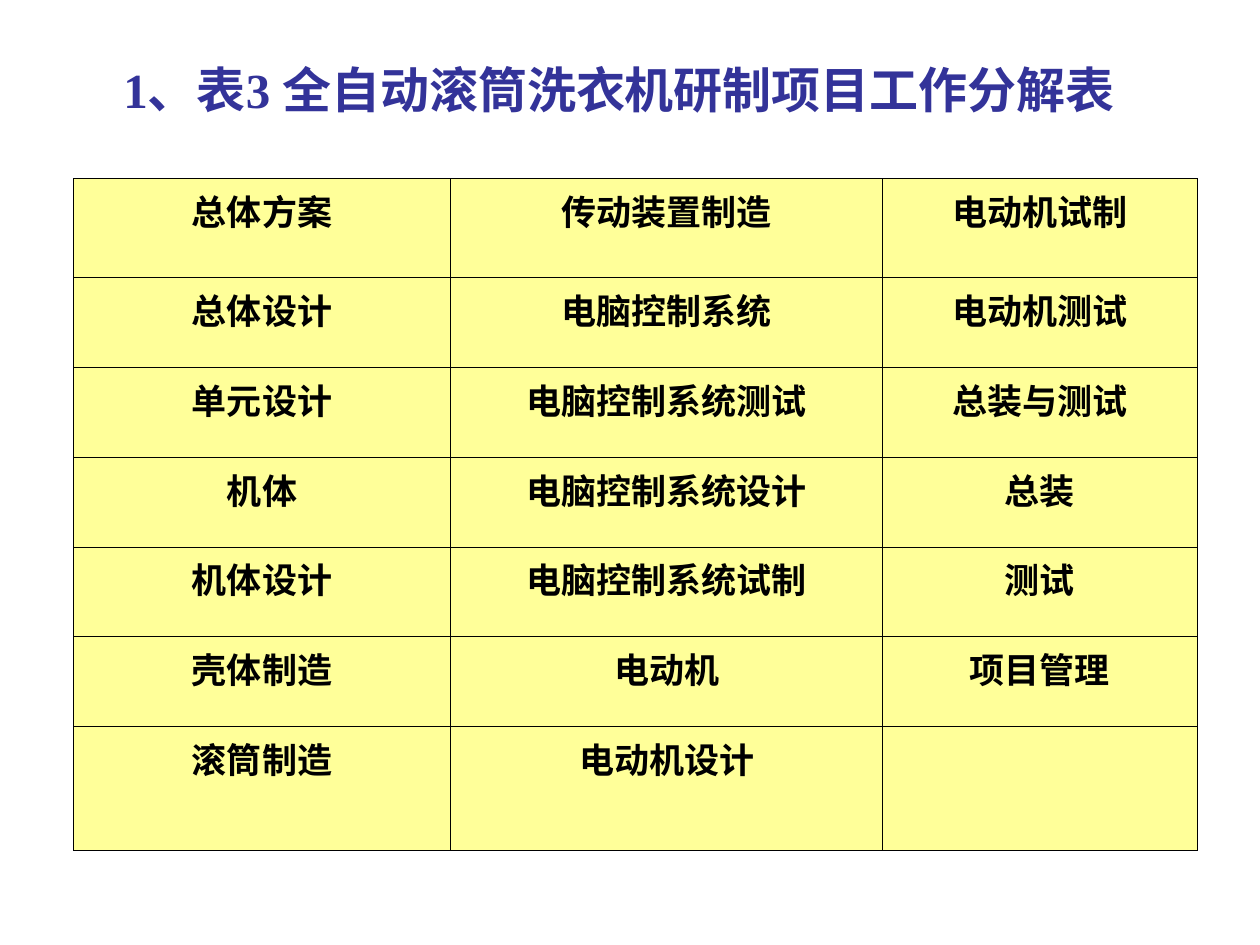
"""Build the work breakdown table slide."""
import pptx
import pptx.dml.color
import pptx.enum.text
import pptx.oxml
import pptx.oxml.ns
import pptx.util

Pt = pptx.util.Pt
TITLE = "1、表3 全自动滚筒洗衣机研制项目工作分解表"
ROWS = [
    ("总体方案", "传动装置制造", "电动机试制"),
    ("总体设计", "电脑控制系统", "电动机测试"),
    ("单元设计", "电脑控制系统测试", "总装与测试"),
    ("机体", "电脑控制系统设计", "总装"),
    ("机体设计", "电脑控制系统试制", "测试"),
    ("壳体制造", "电动机", "项目管理"),
    ("滚筒制造", "电动机设计", ""),
]
WIDTHS = [215.5, 247, 179.5]
HEIGHTS = [56.7] + [51.3] * 5 + [71]
FONT = "Times New Roman"


def color(value):
    return pptx.dml.color.RGBColor.from_string(value)


def write(tf, text, size, fill="000000", align=None):
    p = tf.paragraphs[0]
    p.alignment = align
    r = p.add_run()
    r.text = text
    r.font.name = FONT
    r.font.size = Pt(size)
    r.font.bold = True
    r.font.color.rgb = color(fill)


def border(cell, line="000000", width=0.45):
    tcPr = cell._tc.get_or_add_tcPr()
    for i, side in enumerate(("lnL", "lnR", "lnT", "lnB")):
        tcPr.insert(i, pptx.oxml.parse_xml(
            f'<a:{side} {pptx.oxml.ns.nsdecls("a")} w="{Pt(width)}">'
            f'<a:solidFill><a:srgbClr val="{line}"/></a:solidFill></a:{side}>'))


def main():
    prs = pptx.Presentation()
    prs.slide_width, prs.slide_height = Pt(720), Pt(540)
    s = prs.slides.add_slide(prs.slide_layouts[6])

    tf = s.shapes.add_textbox(Pt(63.5), Pt(30.5), Pt(600.5), Pt(41)).text_frame
    tf.word_wrap = False
    tf.auto_size = pptx.enum.text.MSO_AUTO_SIZE.SHAPE_TO_FIT_TEXT
    tf.vertical_anchor = pptx.enum.text.MSO_ANCHOR.MIDDLE
    write(tf, TITLE, 28, fill="333399")

    table = s.shapes.add_table(len(ROWS), len(WIDTHS), Pt(42), Pt(102),
                               Pt(sum(WIDTHS)), Pt(sum(HEIGHTS))).table
    for column, width in zip(table.columns, WIDTHS):
        column.width = Pt(width)
    for row, height, texts in zip(table.rows, HEIGHTS, ROWS):
        row.height = Pt(height)
        for cell, text in zip(row.cells, texts):
            cell.fill.solid()
            cell.fill.fore_color.rgb = color("FFFF99")
            border(cell)
            if text:
                write(cell.text_frame, text, 20, align=pptx.enum.text.PP_ALIGN.CENTER)

    prs.save("out.pptx")


if __name__ == "__main__":
    main()
